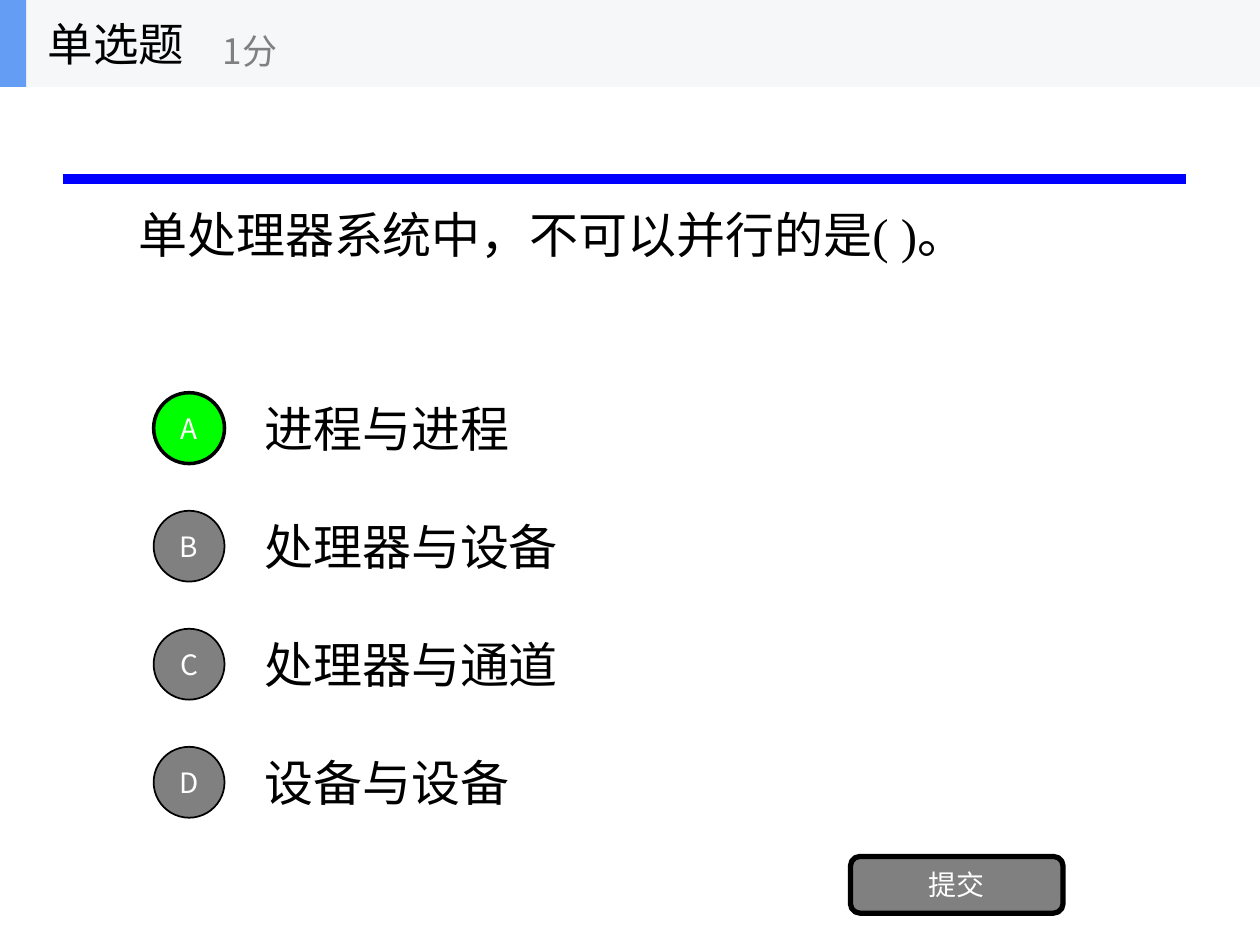
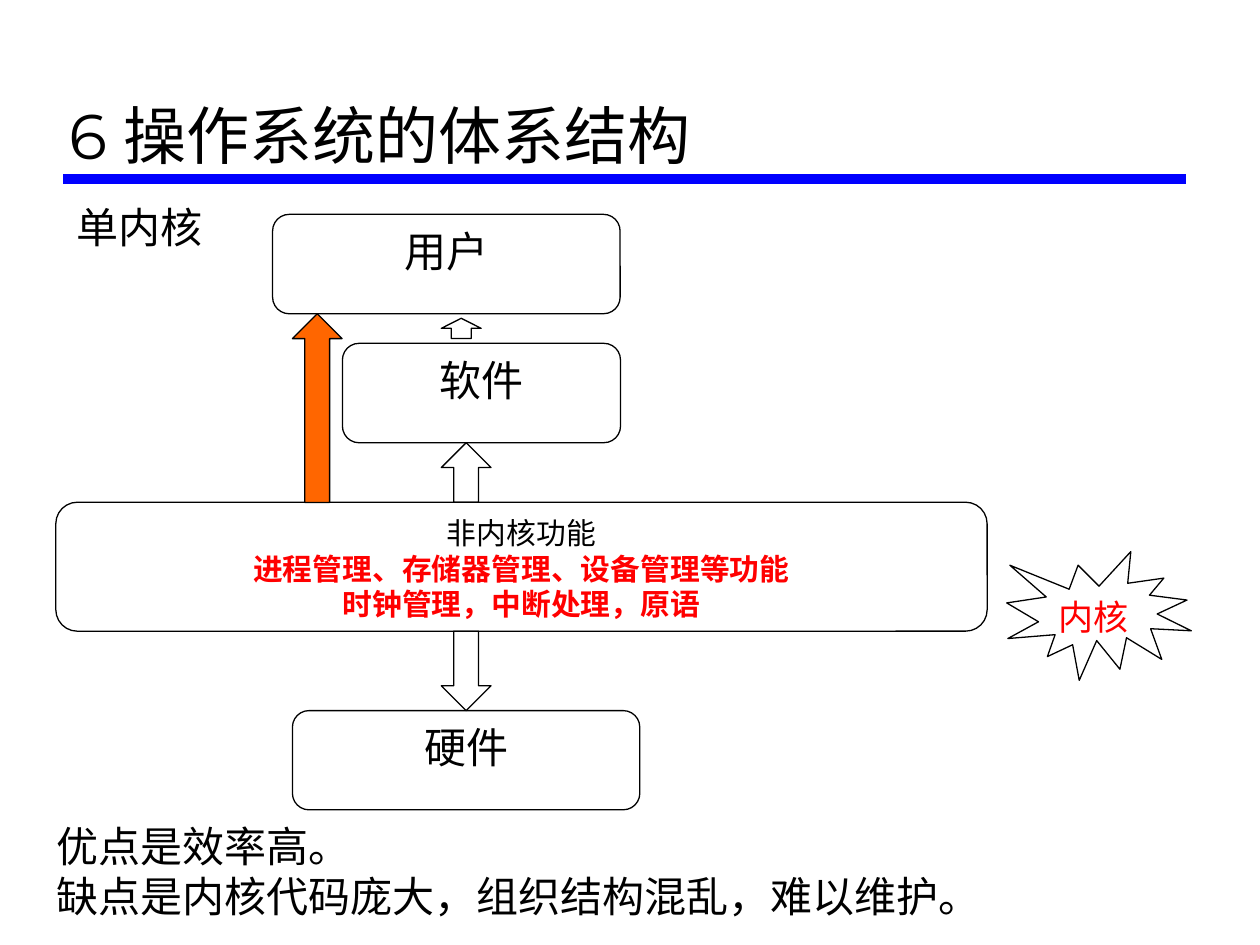
from lxml import etree
from pptx import Presentation
from pptx.dml.color import RGBColor
from pptx.enum.shapes import MSO_CONNECTOR, MSO_SHAPE
from pptx.enum.text import MSO_ANCHOR, PP_ALIGN
from pptx.oxml.ns import qn
from pptx.util import Pt

RECTANGLE = MSO_SHAPE.RECTANGLE
ROUNDED = MSO_SHAPE.ROUNDED_RECTANGLE
ELLIPSE = MSO_SHAPE.OVAL
UP_ARROW = MSO_SHAPE.UP_ARROW
DOWN_ARROW = MSO_SHAPE.DOWN_ARROW
BURST = MSO_SHAPE.EXPLOSION1
STRAIGHT = MSO_CONNECTOR.STRAIGHT
TOP, MIDDLE, BOTTOM = MSO_ANCHOR.TOP, MSO_ANCHOR.MIDDLE, MSO_ANCHOR.BOTTOM
LEFT, CENTER = PP_ALIGN.LEFT, PP_ALIGN.CENTER

BLACK = RGBColor(0x00, 0x00, 0x00)
WHITE = RGBColor(0xFF, 0xFF, 0xFF)
GRAY = RGBColor(0x80, 0x80, 0x80)
GREEN = RGBColor(0x00, 0xFF, 0x00)
RED = RGBColor(0xFF, 0x00, 0x00)
ORANGE = RGBColor(0xFF, 0x66, 0x00)
RULE_BLUE = RGBColor(0x00, 0x00, 0xFF)
HEADER_GRAY = RGBColor(0xF6, 0xF7, 0xF8)
HEADER_BLUE = RGBColor(0x63, 0x9E, 0xF4)

SERIF, SANS, TITLE_FONT = "Times New Roman", "Noto Sans CJK SC", "Montserrat"
QUESTION = {"name": SERIF, "size": Pt(28), "color": BLACK}
BUTTON = {"name": SANS, "size": Pt(16), "color": WHITE}
HEADING = {"name": SANS, "size": Pt(26), "color": BLACK}
SCORE = {"name": SANS, "size": Pt(20), "color": GRAY}
TITLE = {"name": TITLE_FONT, "size": Pt(36), "color": BLACK}
BODY = {"name": SERIF, "size": Pt(24), "color": BLACK}
LAYER = {"name": SERIF, "size": Pt(17), "color": BLACK}
KERNEL = {**LAYER, "color": RED, "bold": True}
CALLOUT = {"name": SERIF, "size": Pt(20), "color": RED}


def write_text(shape, lines, anchor=TOP, alignment=LEFT):
    frame = shape.text_frame
    frame.word_wrap = True
    frame.vertical_anchor = anchor
    frame.margin_left = frame.margin_right = Pt(7.2)
    frame.margin_top = frame.margin_bottom = Pt(3.6)
    for index, (text, formats) in enumerate(lines):
        paragraph = frame.add_paragraph() if index else frame.paragraphs[0]
        paragraph.alignment = alignment
        run = paragraph.add_run()
        run.text = text
        for key, value in formats.items():
            if key == "color":
                run.font.color.rgb = value
            else:
                setattr(run.font, key, value)
        east_asian = SANS if formats["name"] == SANS else TITLE_FONT
        latin = run.font._element.find(qn("a:latin"))
        latin.addnext(etree.Element(qn("a:ea"), typeface=east_asian))


def add_figure(slide, kind, box, fill=None, line_width=None):
    shape = slide.shapes.add_shape(kind, *map(Pt, box))
    shape.shadow.inherit = False
    if fill is None:
        shape.fill.background()
    else:
        shape.fill.solid()
        shape.fill.fore_color.rgb = fill
    if line_width is None:
        shape.line.fill.background()
    else:
        shape.line.color.rgb = BLACK
        shape.line.width = Pt(line_width)
    return shape


presentation = Presentation()
presentation.slide_width, presentation.slide_height = Pt(720), Pt(540)
title_only, blank = presentation.slide_layouts[5], presentation.slide_layouts[6]
quiz = presentation.slides.add_slide(blank)
structure = presentation.slides.add_slide(title_only)

for slide in (quiz, structure):
    rule = slide.shapes.add_connector(STRAIGHT, Pt(36), Pt(102.2), Pt(678), Pt(102.2))
    rule.line.color.rgb = RULE_BLUE
    rule.line.width = Pt(6)
    etree.SubElement(rule._element.spPr, qn("a:effectLst"))

add_figure(quiz, RECTANGLE, (0, 0, 720, 49.7), HEADER_GRAY)
add_figure(quiz, RECTANGLE, (0, 0, 15, 49.7), HEADER_BLUE)

for text, box, formats in (
    ("单选题", (20.2, 0, 150, 49.7), HEADING),
    ("1分", (120.2, 8.6, 180, 40.3), SCORE),
    ("单处理器系统中，不可以并行的是( )。", (72, 49.7, 576, 168.5), QUESTION),
):
    label = quiz.shapes.add_textbox(*map(Pt, box))
    write_text(label, [(text, formats)], MIDDLE)

answers = ("进程与进程", "处理器与设备", "处理器与通道", "设备与设备")
for index, (letter, answer) in enumerate(zip("ABCD", answers)):
    top = 219.4 + 67.45 * index
    fill, line_width = (GREEN, 2) if letter == "A" else (GRAY, 1)
    bullet = add_figure(quiz, ELLIPSE, (87.8, top + 5, 40.5, 40.5), fill, line_width)
    write_text(bullet, [(letter, BUTTON)], MIDDLE, CENTER)
    option = quiz.shapes.add_textbox(Pt(144), Pt(top), Pt(504), Pt(50.6))
    write_text(option, [(answer, QUESTION)], MIDDLE)

submit = add_figure(quiz, ROUNDED, (486, 489.4, 121.5, 32.4), GRAY, 3)
write_text(submit, [("提交", BUTTON)], MIDDLE, CENTER)

title = structure.shapes.title
title.left, title.top, title.width, title.height = Pt(32), Pt(12), Pt(646), Pt(90)
write_text(title, [("6 操作系统的体系结构", TITLE)], BOTTOM)

for box, lines in (
    ((36.9, 111.6, 115, 40), ["单内核"]),
    ((25.2, 465.1, 584, 64.8), ["优点是效率高。", "缺点是内核代码庞大，组织结构混乱，难以维护。"]),
):
    note = structure.shapes.add_textbox(*map(Pt, box))
    write_text(note, [(line, BODY) for line in lines])

kernel_lines = [
    ("非内核功能", LAYER),
    ("进程管理、存储器管理、设备管理等功能", KERNEL),
    ("时钟管理，中断处理，原语", KERNEL),
]
for box, lines in (
    ((155.8, 122.5, 198.6, 56.8), [("用户", BODY)]),
    ((195.7, 196.2, 158.9, 56.8), [("软件", BODY)]),
    ((31.9, 287, 532.2, 73.7), kernel_lines),
    ((167.1, 406.1, 198.5, 56.7), [("硬件", BODY)]),
):
    layer = add_figure(structure, ROUNDED, box, None, 0.75)
    write_text(layer, lines, TOP, CENTER)

for kind, box, fill in (
    (UP_ARROW, (167.1, 179.3, 28.4, 107.8), ORANGE),
    (UP_ARROW, (252.2, 181.9, 22.8, 11.5), None),
    (UP_ARROW, (252.2, 253, 28.4, 34), None),
    (DOWN_ARROW, (252.2, 360.7, 28.4, 45.4), None),
):
    add_figure(structure, kind, box, fill, 0.75)

burst = add_figure(structure, BURST, (575.3, 315.2, 105.5, 73.6), None, 0.75)
write_text(burst, [("内核", CALLOUT)])

presentation.save("out.pptx")
